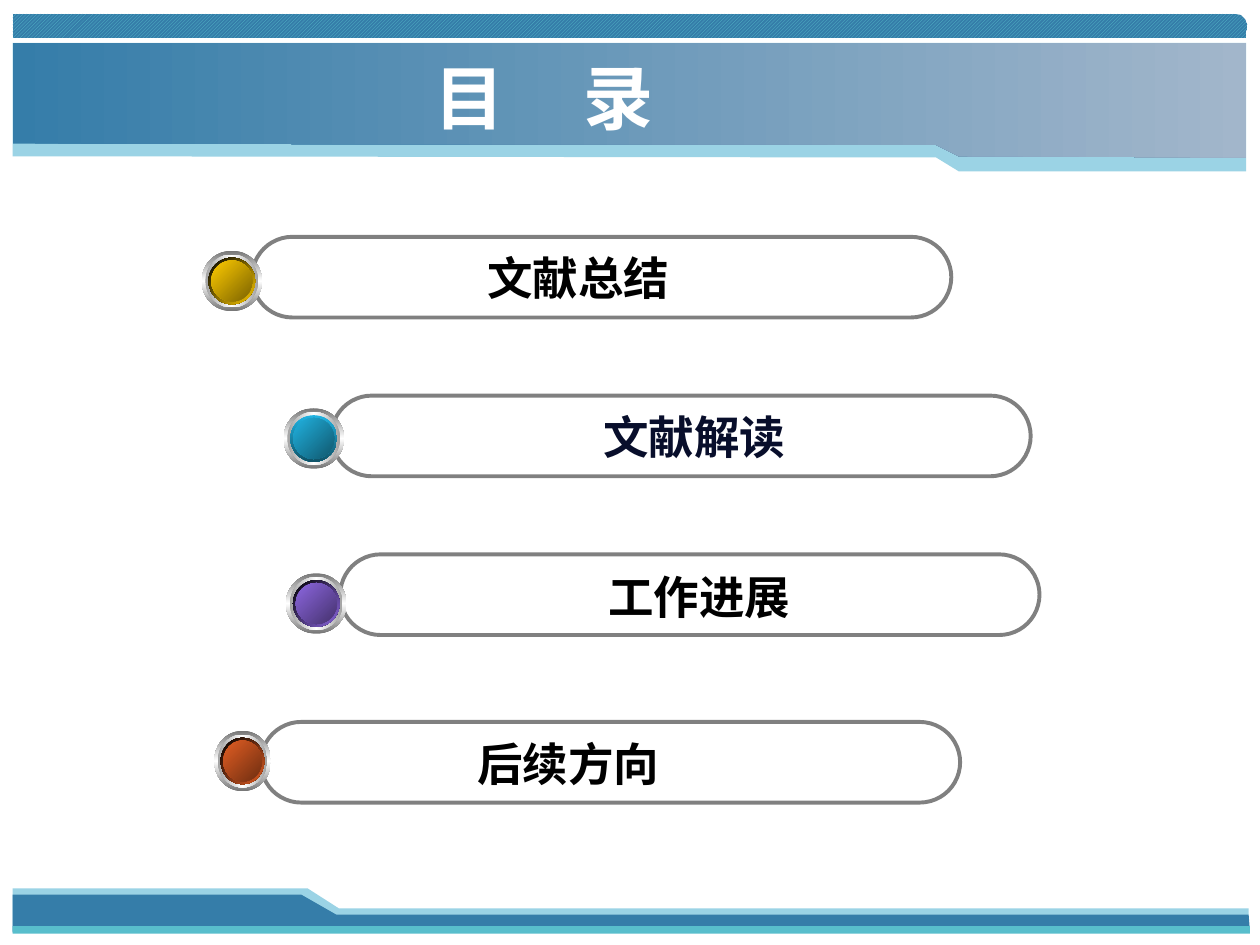
from lxml.etree import SubElement
from pptx import Presentation
from pptx.dml.color import RGBColor
from pptx.enum.dml import MSO_PATTERN
from pptx.enum.shapes import MSO_SHAPE
from pptx.enum.text import MSO_ANCHOR, PP_ALIGN
from pptx.oxml.ns import qn
from pptx.util import Inches, Pt

DEEP, PALE, TEAL = "357DA9", "9BD3E5", "58BECC"
CJK = "Noto Sans CJK SC"


def color(code):
    return RGBColor.from_string(code)


class Agenda:
    heading = {"size": Pt(40), "bold": True, "name": CJK}
    entry = {"size": Pt(26), "bold": True, "name": CJK}
    rims = [
        (1, [(0, "767676"), (50, "FFFFFF"), (100, "767676")], 90),
        (0.875, [(0, "A2A2A2"), (50, "FFFFFF"), (100, "A2A2A2")], 0),
    ]

    def __init__(self, slide):
        self.slide = slide

    def solid(self, shape, code):
        shape.fill.solid()
        shape.fill.fore_color.rgb = color(code)

    def gradient(self, shape, stops, angle):
        shape.fill.gradient()
        gradient = shape._element.spPr.find(qn("a:gradFill"))
        gradient.clear()
        gradient.set("rotWithShape", "1")
        stop_list = SubElement(gradient, qn("a:gsLst"))
        for position, code in stops:
            stop = SubElement(stop_list, qn("a:gs"), pos=str(position * 1000))
            SubElement(stop, qn("a:srgbClr"), val=code)
        SubElement(gradient, qn("a:lin"), ang=str(angle * 60000), scaled="0")

    def preset(self, kind, left, top, width, height):
        shape = self.slide.shapes.add_shape(
            kind, Inches(left), Inches(top), Inches(width), Inches(height))
        shape.shadow.inherit = False
        shape.line.fill.background()
        return shape

    def band(self, points):
        corners = [(Inches(x), Inches(y)) for x, y in points]
        builder = self.slide.shapes.build_freeform(*corners[0], scale=1.0)
        builder.add_line_segments(corners[1:], close=True)
        shape = builder.convert_to_shape()
        shape.shadow.inherit = False
        shape.line.fill.background()
        return shape

    def pill(self, left, top):
        shape = self.preset(MSO_SHAPE.ROUNDED_RECTANGLE, left, top, 5.55, 0.64)
        shape.adjustments[0] = 0.5
        shape.fill.background()
        shape.line.color.rgb = color("808080")
        shape.line.width = Pt(2.25)

    def badge(self, left, top, width, bezel, face):
        height = 0.48
        layers = self.rims + [(0.77, *bezel), (0.68, face, 45)]
        for ratio, stops, angle in layers:
            inset = (1 - ratio) / 2
            disc = self.preset(
                MSO_SHAPE.OVAL, left + width * inset, top + height * inset,
                width * ratio, height * ratio)
            self.gradient(disc, stops, angle)

    def text(self, wording, box, style, code, indent=0, tab=0):
        label = self.slide.shapes.add_textbox(*map(Inches, box))
        frame = label.text_frame
        frame.word_wrap = True
        frame.vertical_anchor = MSO_ANCHOR.MIDDLE
        paragraph = frame.paragraphs[0]
        paragraph.alignment = PP_ALIGN.LEFT if indent or tab else PP_ALIGN.CENTER
        properties = paragraph._p.get_or_add_pPr()
        if indent:
            properties.set("marL", str(Inches(indent)))
        if tab:
            tabs = SubElement(properties, qn("a:tabLst"))
            SubElement(tabs, qn("a:tab"), pos=str(Inches(tab)), algn="l")
        run = paragraph.add_run()
        run.text = wording
        for attribute, value in style.items():
            setattr(run.font, attribute, value)
        run.font.color.rgb = color(code)
        SubElement(run._r.get_or_add_rPr(), qn("a:ea"), typeface=style["name"])


def header_outline(left_edge, step, slope_end, right_edge):
    return [(9.89, 0.34), (0.1, 0.34), (0.1, left_edge), (7.43, step),
            (7.61, slope_end), (9.89, right_edge)]


def main():
    deck = Presentation()
    deck.slide_width, deck.slide_height = Inches(10), Inches(7.5)
    agenda = Agenda(deck.slides.add_slide(deck.slide_layouts[6]))

    footer_edge = agenda.band([(0.1, 7.39), (9.91, 7.39), (9.91, 7.21),
                               (2.69, 7.21), (2.44, 7.05), (0.1, 7.05)])
    agenda.solid(footer_edge, PALE)
    footer = agenda.band([(0.1, 7.4), (9.92, 7.39), (9.91, 7.26),
                          (2.67, 7.26), (2.39, 7.1), (0.1, 7.1)])
    agenda.solid(footer, DEEP)

    hatching = agenda.band([(0.1, 0.11), (9.8, 0.11), (9.85, 0.12), (9.88, 0.15),
                            (9.9, 0.19), (9.89, 0.3), (0.1, 0.3)])
    hatching.fill.patterned()
    hatching.fill.pattern = MSO_PATTERN.DARK_UPWARD_DIAGONAL
    hatching.fill.fore_color.rgb = color(TEAL)
    hatching.fill.back_color.rgb = color(DEEP)

    header_edge = agenda.band(header_outline(1.24, 1.25, 1.36, 1.36))
    agenda.solid(header_edge, PALE)
    header = agenda.band(header_outline(1.14, 1.15, 1.24, 1.25))
    agenda.gradient(header, [(0, DEEP), (100, "A2B6CB")], 0)
    baseline = agenda.preset(MSO_SHAPE.RECTANGLE, 0.1, 7.35, 9.82, 0.06)
    agenda.solid(baseline, TEAL)

    agenda.text("目\t录", (3.35, 0.38, 2.76, 0.77), agenda.heading, "FFFFFF", tab=1.18)

    topics = [
        ("文献总结", (2, 1.88), (1.6, 1.99, 0.48), "FFCC00", "7C6300",
         (2.46, 1.93, 4.26, 0.54), "000000", 0),
        ("文献解读", (2.63, 3.14), (2.25, 3.24, 0.48), "21B3E1", "10576D",
         (3.07, 3.19, 4.88, 0.54), "080E2B", 0),
        (" 工作进展", (2.7, 4.4), (2.27, 4.55, 0.48), "8D67E1", "45326D",
         (3.13, 4.46, 4.76, 0.54), "000000", 0),
        ("后续方向", (2.07, 5.73), (1.7, 5.8, 0.45), "E35E23", "6E2E11",
         (2.55, 5.79, 4.81, 0.54), "000000", 1.14),
    ]
    blue_bezel = ([(0, "21B3E1"), (100, "0F5368")], 90)
    for wording, pill, badge, bright, dark, box, ink, indent in topics:
        agenda.pill(*pill)
        dark_bezel = ([(0, "000000"), (100, bright)], 45)
        bezel = blue_bezel if bright == "21B3E1" else dark_bezel
        agenda.badge(*badge, bezel, [(0, bright), (100, dark)])
        agenda.text(wording, box, agenda.entry, ink, indent)

    deck.save("out.pptx")


if __name__ == "__main__":
    main()
